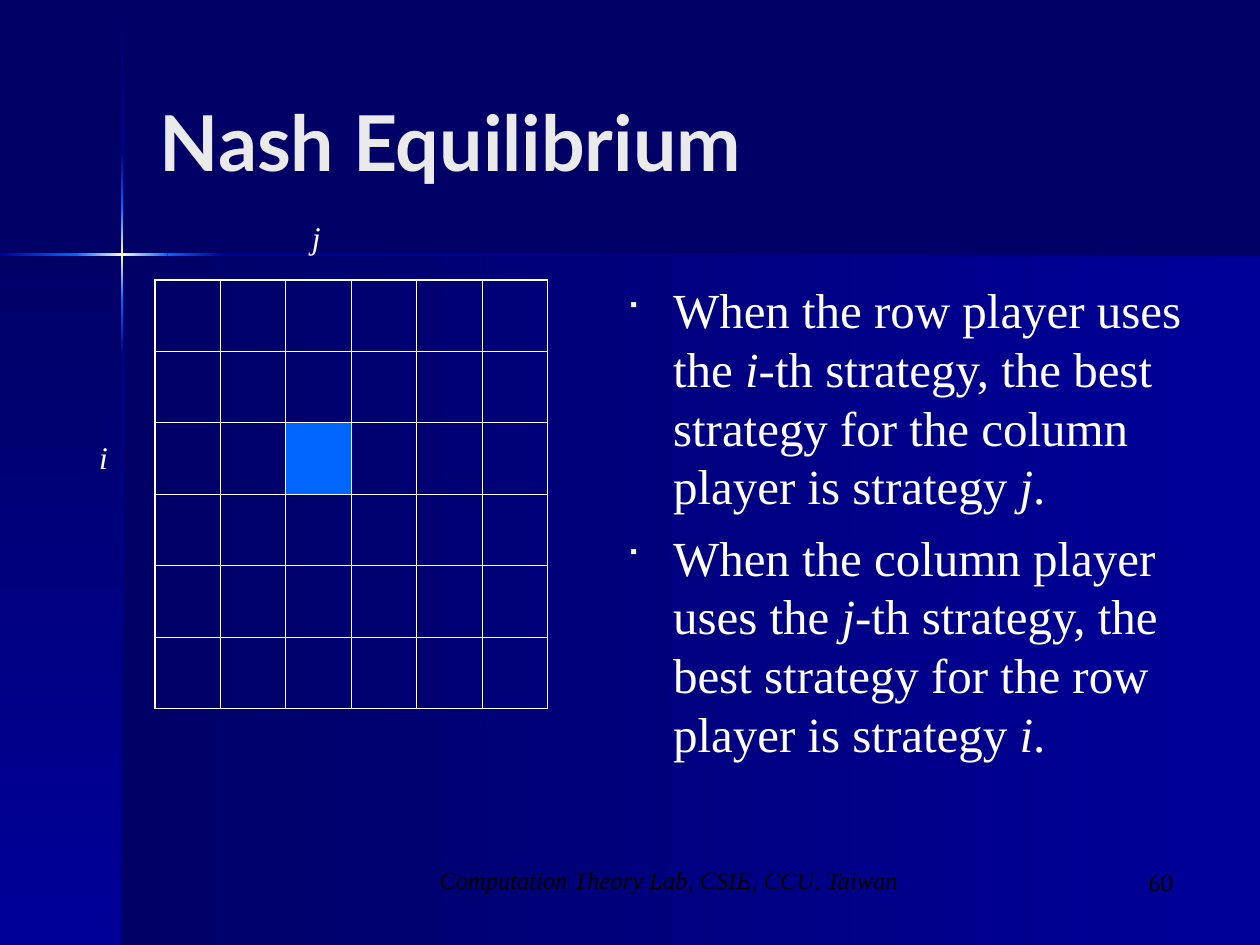
from dataclasses import dataclass

from lxml import etree
from pptx import Presentation
from pptx.dml.color import RGBColor
from pptx.enum.shapes import MSO_SHAPE
from pptx.enum.text import MSO_ANCHOR, PP_ALIGN
from pptx.oxml.ns import qn
from pptx.util import Cm, Pt

RECT = MSO_SHAPE.RECTANGLE
LEFT, CENTER, RIGHT = PP_ALIGN.LEFT, PP_ALIGN.CENTER, PP_ALIGN.RIGHT
TOP, MIDDLE = MSO_ANCHOR.TOP, MSO_ANCHOR.MIDDLE


@dataclass(frozen=True)
class Theme:
    navy: str = "000066"
    blue: str = "000099"
    accent: str = "0066FF"
    glow: str = "FFFFCC"
    title: str = "EAEAEA"
    text: str = "FFFFFF"
    footer: str = "000000"
    serif: str = "Times New Roman"
    title_font: str = "Lato"
    number_font: str = "Cambria"
    title_size: int = 44
    body_size: int = 28
    label_size: int = 18
    footer_size: int = 14
    inner_line: float = 0.45
    outer_line: float = 1.08


T = Theme()
WIDTH, HEIGHT = 25.4, 19.05


def add_gradient(s, x, y, w, h, colors, angle):
    sp = s.shapes.add_shape(RECT, Cm(x), Cm(y), Cm(w), Cm(h))
    sp.shadow.inherit = False
    sp.line.fill.background()
    sp.fill.gradient()
    sp.fill.gradient_angle = angle
    stops = sp._element.spPr.find(qn("a:gradFill")).find(qn("a:gsLst"))
    for stop in list(stops):
        stops.remove(stop)
    for n, color in enumerate(colors):
        pos = 100000 * n // (len(colors) - 1)
        stop = etree.SubElement(stops, qn("a:gs"), pos=str(pos))
        etree.SubElement(stop, qn("a:srgbClr"), val=color)


def add_backdrop(s, x, y, w, h):
    fill = s.background.fill
    fill.solid()
    fill.fore_color.rgb = RGBColor.from_string(T.navy)
    cross_x, cross_y, bar = x + 2.46, y + 5.13, 0.05
    bottom, right = y + h, x + w
    add_gradient(s, cross_x, cross_y, right - cross_x, bottom - cross_y,
                 (T.blue, T.navy), 180)
    add_gradient(s, x, cross_y, cross_x - x, bottom - cross_y,
                 (T.navy, T.blue), 270)
    glow = (T.accent, T.glow, T.accent)
    rays = [
        (0.03, 3.07, (T.navy, T.blue)),
        (3.07, 4.19, (T.blue, T.accent)),
        (4.19, 6.05, glow),
        (6.05, 7.16, (T.accent, T.blue)),
        (7.16, h, (T.blue, T.navy)),
    ]
    for start, end, colors in rays:
        add_gradient(s, cross_x - bar / 2, y + start, bar, end - start,
                     colors, 270)
    beams = [
        (0, 1.53, (T.accent, T.blue)),
        (1.53, 3.38, glow),
        (3.38, 4.5, (T.blue, T.accent)),
        (4.5, w, (T.navy, T.blue)),
    ]
    for start, end, colors in beams:
        add_gradient(s, x + start, cross_y - bar / 2, end - start, bar,
                     colors, 180)


def style_run(r, size, color, font, bold=False, italic=False):
    r.font.size = Pt(size)
    r.font.color.rgb = RGBColor.from_string(color)
    r.font.name = font
    r.font.bold = bold
    r.font.italic = italic


def add_text(s, x, y, w, h, text, size, color, font, align=LEFT, anchor=TOP,
             wrap=True, bold=False, italic=False):
    tf = s.shapes.add_textbox(Cm(x), Cm(y), Cm(w), Cm(h)).text_frame
    tf.word_wrap = wrap
    tf.vertical_anchor = anchor
    tf.text = text
    p = tf.paragraphs[0]
    p.alignment = align
    style_run(p.runs[0], size, color, font, bold, italic)


def add_bullet(p):
    pPr = p._p.get_or_add_pPr()
    pPr.set("marL", str(Cm(0.95)))
    pPr.set("indent", str(-Cm(0.95)))
    color = etree.SubElement(pPr, qn("a:buClr"))
    etree.SubElement(color, qn("a:srgbClr"), val=T.glow)
    etree.SubElement(pPr, qn("a:buSzPct"), val="70000")
    etree.SubElement(pPr, qn("a:buFont"), typeface="Wingdings")
    etree.SubElement(pPr, qn("a:buChar"), char="■")


def add_body(s, x, y, w, h, points):
    tf = s.shapes.add_textbox(Cm(x), Cm(y), Cm(w), Cm(h)).text_frame
    tf.word_wrap = True
    for n, parts in enumerate(points):
        p = tf.add_paragraph() if n else tf.paragraphs[0]
        p.space_before = Pt(7)
        add_bullet(p)
        for k, part in enumerate(parts):
            r = p.add_run()
            r.text = part
            style_run(r, T.body_size, T.text, T.serif, italic=k % 2 == 1)


def set_border(cell, side, width):
    tcPr = cell._tc.get_or_add_tcPr()
    ln = etree.SubElement(tcPr, qn(f"a:ln{side}"), w=str(Pt(width)))
    fill = etree.SubElement(ln, qn("a:solidFill"))
    etree.SubElement(fill, qn("a:srgbClr"), val=T.text)


def add_matrix(s, x, y, w, h, size, row, col):
    table = s.shapes.add_table(size, size, Cm(x), Cm(y), Cm(w), Cm(h)).table
    table.first_row = table.horz_banding = False
    last = size - 1
    for i in range(size):
        table.rows[i].height = Cm(h / size)
        table.columns[i].width = Cm(w / size)
        for j in range(size):
            cell = table.cell(i, j)
            edges = {"L": j == 0, "R": j == last, "T": i == 0, "B": i == last}
            for side, outer in edges.items():
                set_border(cell, side, T.outer_line if outer else T.inner_line)
            cell.fill.background()
    cell = table.cell(row, col)
    cell.fill.solid()
    cell.fill.fore_color.rgb = RGBColor.from_string(T.accent)
    label = dict(size=T.label_size, color=T.text, font=T.serif,
                 wrap=False, italic=True)
    add_text(s, x - 1.37, y + 3.07, 0.69, 1.02, "i", **label)
    add_text(s, x + 2.92, y - 1.37, 0.69, 1.02, "j", **label)


def add_footer(s, x, y, w, h):
    add_text(s, x, y, 11.07, h, "Computation Theory Lab, CSIE, CCU, Taiwan",
             T.footer_size, T.footer, T.serif, CENTER, italic=True)
    add_text(s, x + w - 5.28, y + 0.03, 5.28, h, "60",
             T.footer_size, T.footer, T.number_font, RIGHT)


def main():
    prs = Presentation()
    prs.slide_width, prs.slide_height = Cm(WIDTH), Cm(HEIGHT)
    s = prs.slides.add_slide(prs.slide_layouts[6])
    add_backdrop(s, 0, 0, WIDTH, HEIGHT)
    add_text(s, 2.97, 0.84, 20.96, 3.99, "Nash Equilibrium", T.title_size,
             T.title, T.title_font, anchor=MIDDLE, bold=True)
    add_body(s, 12.37, 5.51, 11.96, 11.43, [
        ("When the row player uses the ", "i-",
         "th strategy, the best strategy for the column player is strategy ",
         "j", "."),
        ("When the column player uses the ", "j",
         "-th strategy, the best strategy for the row player is strategy ",
         "i", "."),
    ])
    add_matrix(s, 3.12, 5.64, 7.92, 8.64, 6, row=2, col=2)
    add_footer(s, 7.95, 17.32, 15.95, 1.27)
    prs.save("out.pptx")


if __name__ == "__main__":
    main()
